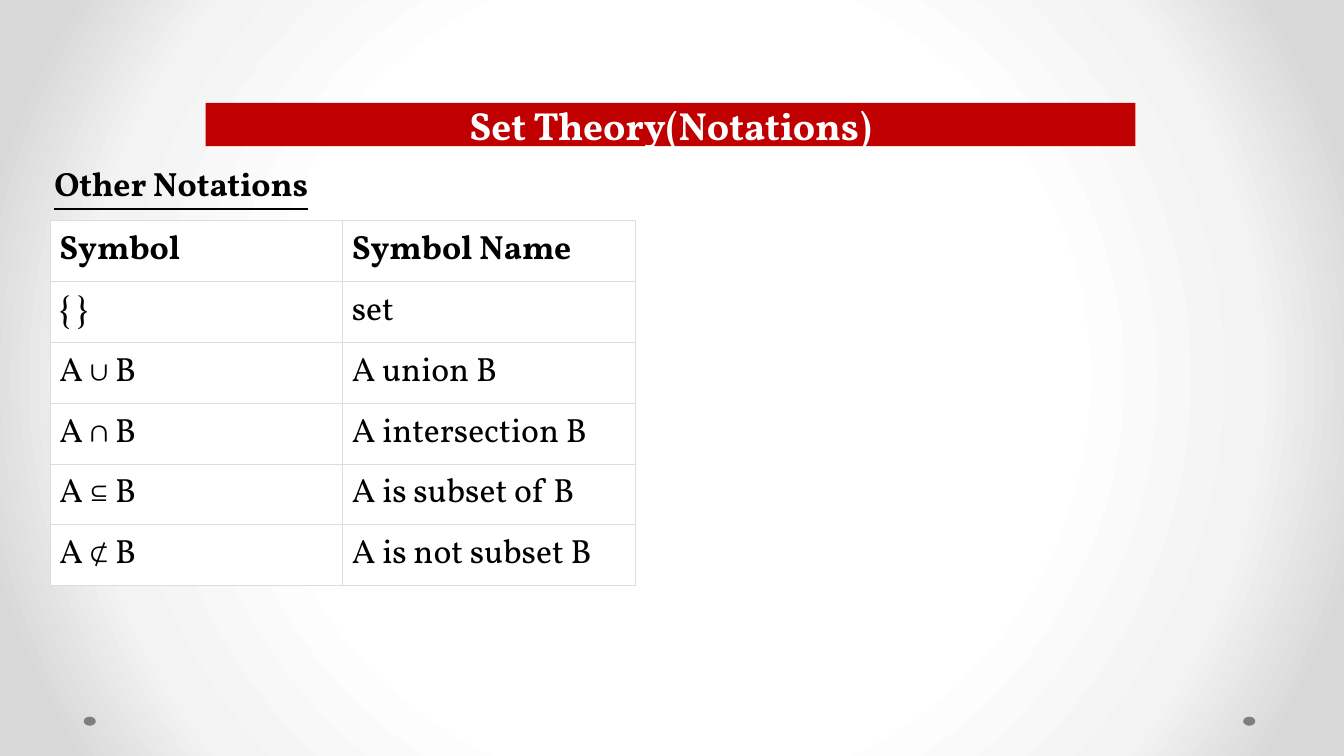
"""Build the set theory notations slide."""
from pptx import Presentation
from pptx.dml.color import RGBColor
from pptx.enum.text import MSO_ANCHOR, MSO_AUTO_SIZE, PP_ALIGN
from pptx.enum.shapes import MSO_SHAPE
from pptx.oxml import parse_xml
from pptx.oxml.ns import nsdecls
from pptx.util import Inches, Pt

COLORS = {
    "banner": "C00000",
    "white": "FFFFFF",
    "black": "000000",
    "dot": "7F7F7F",
    "border": "DDDDDD",
    "pale": "F3F3F3",
    "edge": "D8D8D8",
}
FONT = "Vollkorn"
BACKDROP = [(0, "white"), (50, "white"), (76, "pale"), (92, "edge"), (100, "edge")]
NOTATIONS = [
    ("Symbol", "Symbol Name"),
    ("{ }", "set"),
    ("A ∪ B", "A union B"),
    ("A ∩ B", "A intersection B"),
    ("A ⊆ B", "A is subset of B"),
    ("A ⊄ B", "A is not subset B"),
]


def rgb(name):
    return RGBColor.from_string(COLORS[name])


def write(frame, text, size=24, color="black", bold=False, underline=None, align=None):
    paragraph = frame.paragraphs[0]
    paragraph.alignment = align
    run = paragraph.add_run()
    run.text = text
    run.font.name = FONT
    run.font.size = Pt(size)
    run.font.bold = bold
    run.font.underline = underline
    run.font.color.rgb = rgb(color)


def paint_backdrop(slide):
    stops = "".join(
        f'<a:gs pos="{percent * 1000}"><a:srgbClr val="{COLORS[name]}"/></a:gs>'
        for percent, name in BACKDROP
    )
    backdrop = parse_xml(
        f'<p:bg {nsdecls("p", "a")}><p:bgPr><a:gradFill rotWithShape="1">'
        f'<a:gsLst>{stops}</a:gsLst><a:path path="circle">'
        '<a:fillToRect l="50000" t="50000" r="50000" b="50000"/></a:path>'
        "</a:gradFill><a:effectLst/></p:bgPr></p:bg>"
    )
    slide.element.cSld.insert(0, backdrop)


def add_dot(slide, left):
    dot = slide.shapes.add_shape(
        MSO_SHAPE.OVAL, Inches(left), Inches(7.11), Inches(0.12), Inches(0.09)
    )
    dot.shadow.inherit = False
    dot.fill.solid()
    dot.fill.fore_color.rgb = rgb("dot")
    dot.line.fill.background()


def place_title(slide, text):
    banner = slide.shapes.title
    banner.left, banner.top = Inches(2.04), Inches(1.02)
    banner.width, banner.height = Inches(9.22), Inches(0.43)
    banner.fill.solid()
    banner.fill.fore_color.rgb = rgb("banner")
    frame = banner.text_frame
    frame.auto_size = MSO_AUTO_SIZE.NONE
    frame.vertical_anchor = MSO_ANCHOR.MIDDLE
    write(frame, text, size=28, color="white", bold=True, align=PP_ALIGN.CENTER)


def add_heading(slide, text):
    heading = slide.shapes.add_textbox(
        Inches(0.44), Inches(1.57), Inches(3.54), Inches(0.5)
    )
    heading.text_frame.word_wrap = True
    write(heading.text_frame, text, bold=True, underline=True)


def set_borders(cell):
    properties = cell._tc.get_or_add_tcPr()
    for position, side in enumerate(("lnL", "lnR", "lnT", "lnB")):
        border = parse_xml(
            f'<a:{side} {nsdecls("a")} w="{Pt(0.75)}"><a:solidFill>'
            f'<a:srgbClr val="{COLORS["border"]}"/></a:solidFill></a:{side}>'
        )
        properties.insert(position, border)


def add_notation_table(slide):
    notations = slide.shapes.add_table(
        len(NOTATIONS), 2, Inches(0.5), Inches(2.19), Inches(5.8), Inches(2)
    ).table
    for row, entries in enumerate(NOTATIONS):
        notations.rows[row].height = Inches(0.33)
        for column, text in enumerate(entries):
            cell = notations.cell(row, column)
            cell.fill.solid()
            cell.fill.fore_color.rgb = rgb("white")
            cell.vertical_anchor = MSO_ANCHOR.MIDDLE
            cell.margin_left = cell.margin_right = Inches(0.09)
            cell.margin_top = cell.margin_bottom = Inches(0.07)
            set_borders(cell)
            write(cell.text_frame, text, bold=row == 0)


def main():
    deck = Presentation()
    deck.slide_width, deck.slide_height = Inches(13.33), Inches(7.5)
    slide = deck.slides.add_slide(deck.slide_layouts[5])
    paint_backdrop(slide)
    for left in (12.33, 0.83):
        add_dot(slide, left)
    add_notation_table(slide)
    add_heading(slide, "Other Notations")
    place_title(slide, "Set Theory(Notations)")
    deck.save("out.pptx")


if __name__ == "__main__":
    main()
